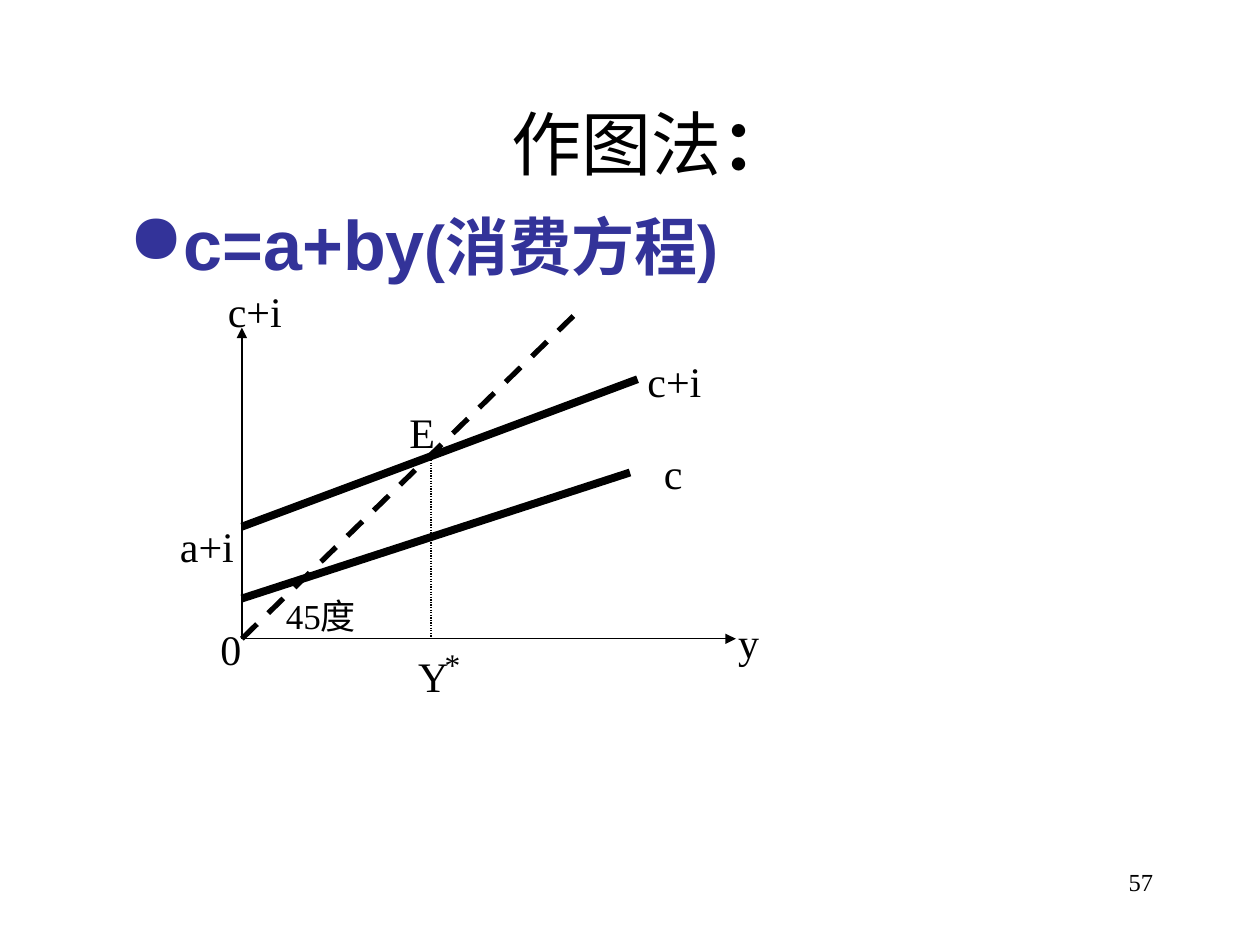
from dataclasses import dataclass

from lxml import etree
from pptx import Presentation
from pptx.dml.color import RGBColor
from pptx.enum import dml, shapes, text
from pptx.oxml import ns
from pptx.util import Inches, Pt


@dataclass(frozen=True)
class Theme:
    ink: RGBColor = RGBColor(0x00, 0x00, 0x00)
    accent: RGBColor = RGBColor(0x33, 0x33, 0x99)
    heading_font: str = "Arial"
    label_font: str = "Times New Roman"
    heading: int = 40
    note: int = 36
    label: int = 24
    angle: int = 20
    star: int = 18
    number: int = 14
    thin: float = 0.75
    diagonal: float = 3
    thick: float = 4.5


THEME = Theme()
ORIGIN = (1.92, 5.07)
EQUILIBRIUM = (3.42, 3.63)


def add_box(page, left, top, width, height, wrap=True):
    box = page.shapes.add_textbox(
        Inches(left), Inches(top), Inches(width), Inches(height)
    )
    box.text_frame.word_wrap = wrap
    return box.text_frame


def style_font(font, name, size, color):
    font.name = name
    font.size = Pt(size)
    font.color.rgb = color


def add_label(page, wording, left, top, width, height=0.5,
              size=THEME.label, wrap=False, align=text.PP_ALIGN.LEFT):
    para = add_box(page, left, top, width, height, wrap).paragraphs[0]
    para.text = wording
    para.alignment = align
    style_font(para.font, THEME.label_font, size, THEME.ink)


def add_line(page, start, end, width=THEME.thin, dash=None, arrow=False):
    line = page.shapes.add_connector(
        shapes.MSO_CONNECTOR.STRAIGHT, *(Inches(value) for value in start + end)
    )
    line.line.color.rgb = THEME.ink
    line.line.width = Pt(width)
    if dash:
        line.line.dash_style = dash
    if arrow:
        etree.SubElement(line.line._get_or_add_ln(), ns.qn("a:tailEnd"), type="triangle")
    etree.SubElement(line._element.spPr, ns.qn("a:effectLst"))


def set_hanging_indent(para):
    properties = para._p.get_or_add_pPr()
    properties.set("marL", str(Inches(0.38)))
    properties.set("indent", str(-Inches(0.38)))
    return properties


def add_bullet(para, symbol, color):
    properties = set_hanging_indent(para)
    bullet_color = etree.SubElement(properties, ns.qn("a:buClr"))
    etree.SubElement(bullet_color, ns.qn("a:srgbClr"), val=str(color))
    etree.SubElement(properties, ns.qn("a:buChar"), char=symbol)


def add_spans(para, spans, color):
    for wording, size, bold in spans:
        span = para.add_run()
        span.text = wording
        style_font(span.font, THEME.heading_font, size, color)
        span.font.bold = bold


def add_heading(page):
    frame = add_box(page, 0.92, 0.75, 8.5, 4.5)
    title = frame.paragraphs[0]
    set_hanging_indent(title)
    title.alignment = text.PP_ALIGN.CENTER
    add_spans(title, [("作图法", THEME.heading, False),
                      ("：", THEME.heading, True)], THEME.ink)
    equation = frame.add_paragraph()
    add_bullet(equation, "●", THEME.accent)
    equation.space_before = Pt(9)
    add_spans(equation, [("c=a+by", THEME.heading, True),
                         ("(消费方程)", THEME.note, True)], THEME.accent)


def add_graph(page):
    left, base = ORIGIN
    add_line(page, ORIGIN, (left, 2.6), arrow=True)
    add_line(page, ORIGIN, (5.84, base), arrow=True)
    add_line(page, ORIGIN, (4.6, 2.46), THEME.diagonal, dml.MSO_LINE.DASH)
    add_line(page, (left, 4.18), (5.06, 3.01), THEME.thick)
    add_line(page, (left, 4.75), (5, 3.75), THEME.thick)
    add_line(page, EQUILIBRIUM, (EQUILIBRIUM[0], base), dash=dml.MSO_LINE.ROUND_DOT)


def add_graph_labels(page):
    for wording, left, top, width in (
        ("a+i", 1.33, 4.08, 0.63),
        ("0", 1.65, 4.9, 0.36),
        ("c+i", 1.71, 2.22, 0.63),
        ("y", 5.76, 4.84, 0.36),
        ("c+i", 5.04, 2.77, 0.63),
        ("E", 3.15, 3.18, 0.4),
        ("Y", 3.22, 5.11, 0.44),
    ):
        add_label(page, wording, left, top, width)
    add_label(page, "*", 3.43, 5.07, 0.32, 0.4, THEME.star)
    add_label(page, "45度", 2.17, 4.67, 1.59, 0.44, THEME.angle, wrap=True)
    add_label(page, "c", 5.17, 3.5, 0.58, wrap=True)


def main():
    deck = Presentation()
    deck.slide_width, deck.slide_height = Inches(10), Inches(7.5)
    page = deck.slides.add_slide(deck.slide_layouts[6])
    add_label(page, "57", 7.17, 6.83, 2.08, size=THEME.number,
              wrap=True, align=text.PP_ALIGN.RIGHT)
    add_heading(page)
    add_graph(page)
    add_graph_labels(page)
    deck.save("out.pptx")


if __name__ == "__main__":
    main()
